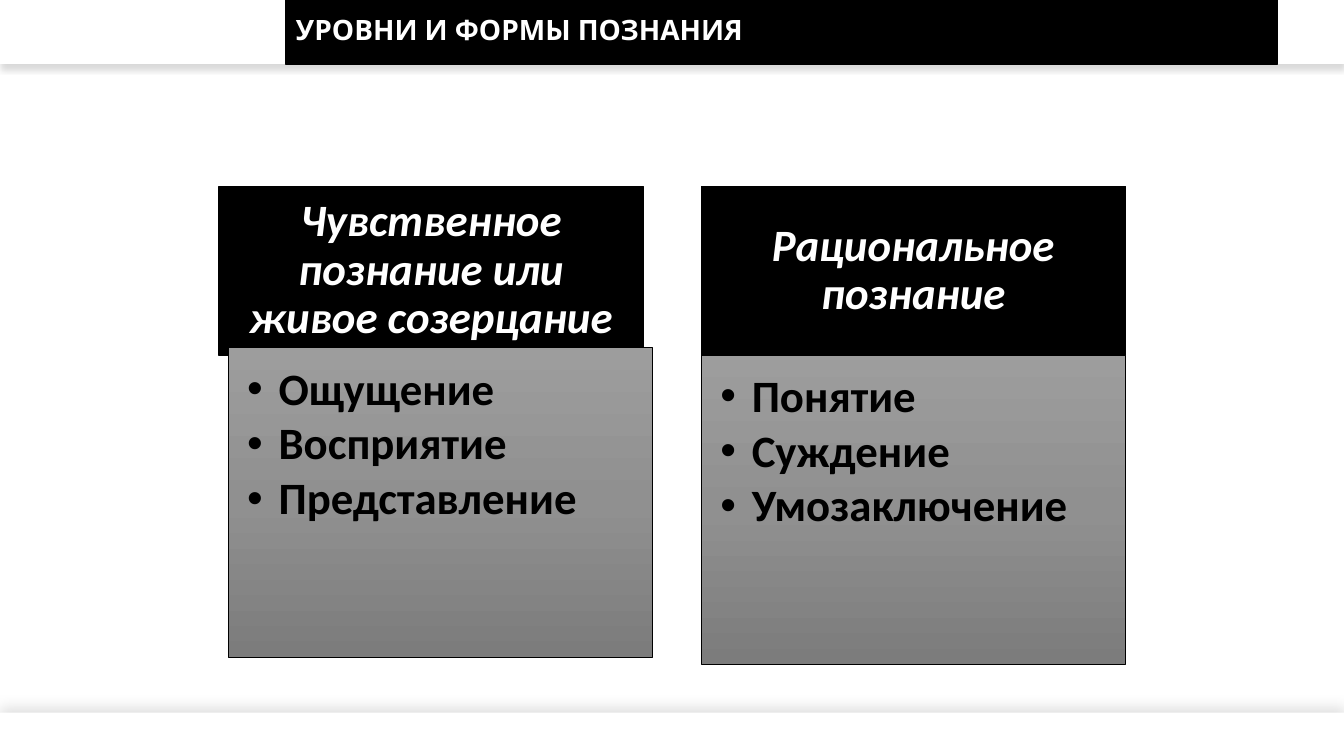
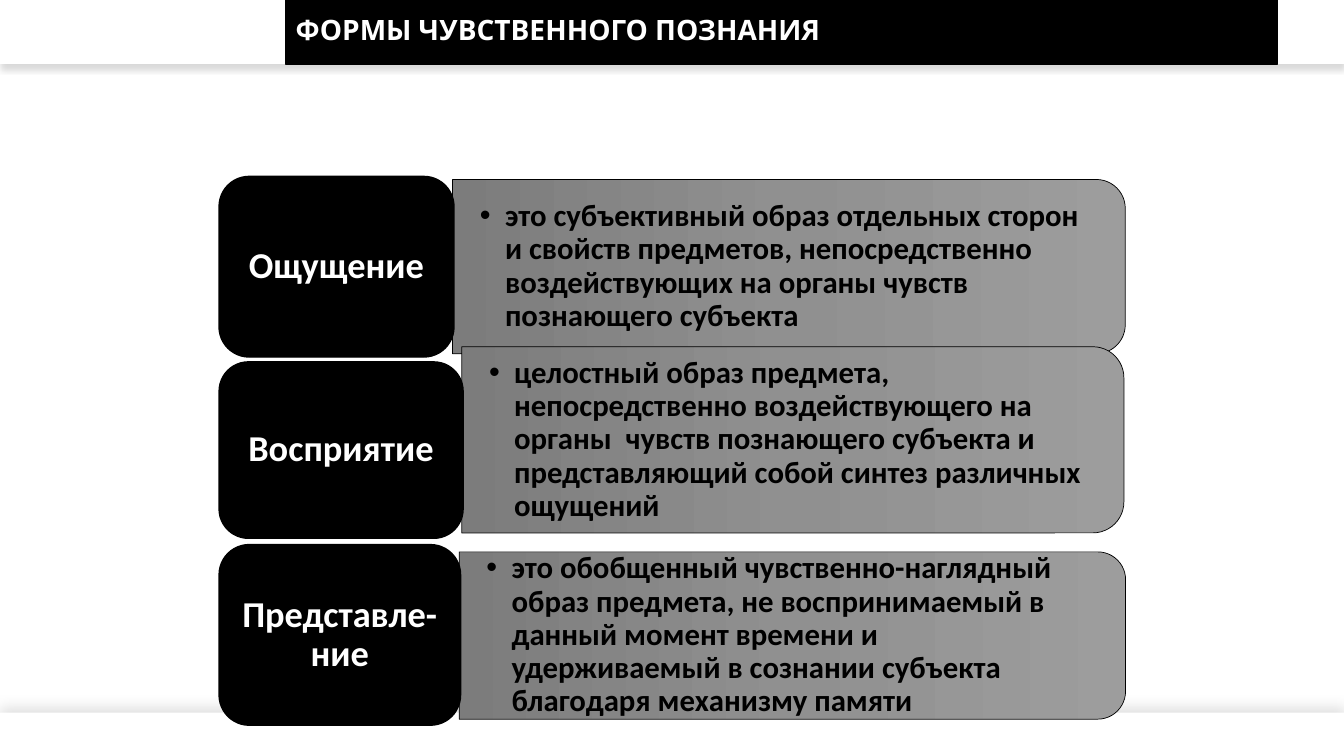
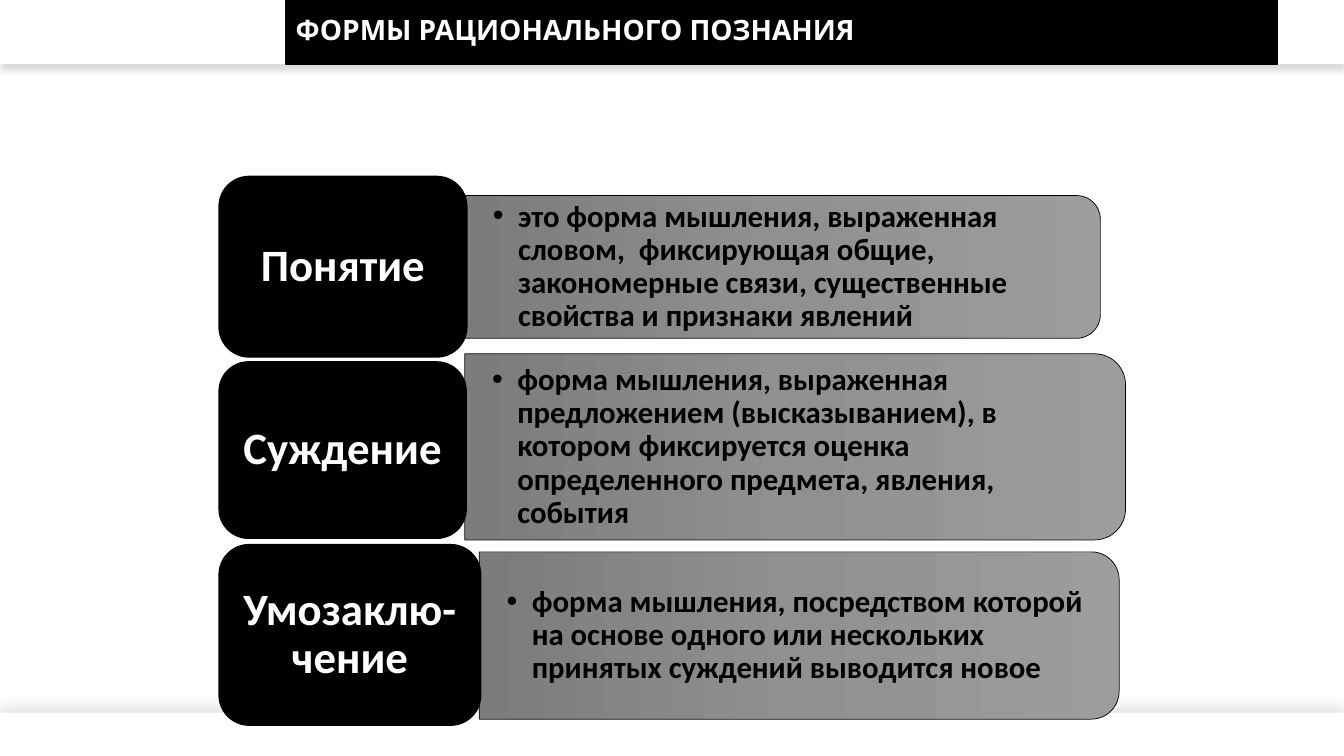
from copy import deepcopy

from lxml import etree
from pptx import Presentation
from pptx.dml.color import RGBColor
from pptx.enum import shapes, text
from pptx.oxml import ns
from pptx.util import Pt

BLACK = RGBColor(0x00, 0x00, 0x00)
WHITE = RGBColor(0xFF, 0xFF, 0xFF)
GRADIENT = [
    (0, RGBColor(0x9D, 0x9D, 0x9D)),
    (0.5, RGBColor(0x90, 0x90, 0x90)),
    (1, RGBColor(0x7C, 0x7C, 0x7C)),
]

SLIDE_W, SLIDE_H = 960, 540
TOP_BAND_H, BOTTOM_BAND_H = 45.6, 31
LABEL_LEFT = 156.5
LABEL_ROWS = [(126, 129), (258.5, 126), (389, 129)]  # top, height
CORNER_INSET = 0.0488  # text inset of a rounded corner, per unit of the short side

TITLE_FONT = {"name": "Karla", "size": Pt(20), "bold": True}
HEADER_FONT = {"name": "Calibri", "size": Pt(32), "bold": True, "italic": True}
LIST_FONT = {"name": "Calibri", "size": Pt(32), "bold": True, "italic": False}
DEFINITION_FONT = {"name": "Calibri", "size": Pt(22), "bold": True}

MIDDLE, TOP = text.MSO_ANCHOR.MIDDLE, text.MSO_ANCHOR.TOP
CENTER, LEFT = text.PP_ALIGN.CENTER, text.PP_ALIGN.LEFT

# Slide content: panel is left, top, width, height
COLUMNS = [
    {"header": "Чувственное познание или живое созерцание",
     "forms": ["Ощущение", "Восприятие", "Представление"],
     "header_left": 156.5, "list_left": 163, "list_top": 248.3},
    {"header": "Рациональное познание",
     "forms": ["Понятие", "Суждение", "Умозаключение"],
     "header_left": 501, "list_left": 501, "list_top": 253.5},
]
SENSORY_FORMS = [
    ("Ощущение", (323.3, 128.2, 480.5, 124.5),
     "это субъективный образ отдельных сторон и свойств предметов, "
     "непосредственно воздействующих на органы чувств познающего субъекта"),
    ("Восприятие", (329.8, 247.7, 473, 133),
     "целостный образ предмета, непосредственно воздействующего на органы  чувств "
     "познающего субъекта и представляющий собой синтез различных ощущений"),
    ("Представле-ние", (328, 394.2, 476, 119.5),
     "это обобщенный чувственно-наглядный образ предмета, не воспринимаемый в данный "
     "момент времени и удерживаемый в сознании субъекта благодаря механизму памяти"),
]
RATIONAL_FORMS = [
    ("Понятие", (332.5, 139.7, 453.5, 102),
     "это форма мышления, выраженная словом,  фиксирующая общие, "
     "закономерные связи, существенные свойства и признаки явлений"),
    ("Суждение", (332, 252.7, 472, 133),
     "форма мышления, выраженная предложением (высказыванием), в котором "
     "фиксируется оценка определенного предмета, явления, события"),
    ("Умозаклю-чение", (342.4, 394.2, 457, 119.5),
     "форма мышления, посредством которой на основе одного или нескольких "
     "принятых суждений выводится новое"),
]


def apply(target, values):
    for name, value in values.items():
        setattr(target, name, value)


def place(shape, left, top, width, height):
    apply(shape, {"left": Pt(left), "top": Pt(top),
                  "width": Pt(width), "height": Pt(height)})


def paint_solid(shape, color, line_width=1):
    shape.shadow.inherit = False
    shape.fill.solid()
    shape.fill.fore_color.rgb = color
    if line_width:
        shape.line.color.rgb = color
        shape.line.width = Pt(line_width)
    else:
        shape.line.fill.background()


def paint_gradient(shape):
    shape.shadow.inherit = False
    shape.fill.gradient()
    shape.fill.gradient_angle = 270
    stops = shape._element.spPr.find(".//" + ns.qn("a:gsLst"))
    stops.insert(1, deepcopy(stops[0]))
    for stop, (position, color) in zip(shape.fill.gradient_stops, GRADIENT):
        stop.position = position
        stop.color.rgb = color
    shape.line.color.rgb = BLACK
    shape.line.width = Pt(0.5)


def add_bullet(paragraph, indent):
    props = paragraph._p.get_or_add_pPr()
    props.set("marL", str(Pt(indent)))
    props.set("indent", str(-Pt(indent)))
    etree.SubElement(props, ns.qn("a:buFont"), typeface="Arial")
    etree.SubElement(props, ns.qn("a:buChar"), char="•")


def write(shape, lines, font, color, margins, anchor=MIDDLE, align=LEFT,
          bullet_indent=0, space_after=0):
    frame = shape.text_frame
    apply(frame, {"word_wrap": True, "auto_size": text.MSO_AUTO_SIZE.NONE,
                  "vertical_anchor": anchor})
    sides = ("margin_left", "margin_top", "margin_right", "margin_bottom")
    apply(frame, {side: Pt(size) for side, size in zip(sides, margins)})
    for index, line in enumerate(lines):
        paragraph = frame.add_paragraph() if index else frame.paragraphs[0]
        if bullet_indent:
            add_bullet(paragraph, bullet_indent)
        apply(paragraph, {"alignment": align, "line_spacing": 0.9,
                          "space_before": Pt(0), "space_after": Pt(space_after)})
        run = paragraph.add_run()
        run.text = line
        apply(run.font, font)
        run.font.color.rgb = color


def add_master_band(prs, slide, number, top, height, opacity, blur, direction):
    """White full-width band on the master, casting a soft shadow."""
    band = slide.shapes.add_shape(shapes.MSO_SHAPE.RECTANGLE, 0, Pt(top),
                                  Pt(SLIDE_W), Pt(height))
    paint_solid(band, WHITE, line_width=0)
    effects = band._element.spPr.find(ns.qn("a:effectLst"))
    shadow = etree.SubElement(effects, ns.qn("a:outerShdw"), blurRad=str(Pt(blur)),
                              dist=str(Pt(4)), dir=str(direction * 60000),
                              algn="ctr", rotWithShape="0")
    tint = etree.SubElement(shadow, ns.qn("a:srgbClr"), val=str(BLACK))
    etree.SubElement(tint, ns.qn("a:alpha"), val=str(opacity * 1000))
    band._element.nvSpPr.cNvPr.set("id", str(100 + number))
    prs.slide_master.shapes._spTree.insert(1 + number, band._element)


def add_titled_slide(prs, layout_name, heading):
    slide = prs.slides.add_slide(prs.slide_layouts.get_by_name(layout_name))
    title = slide.shapes.title
    place(title, 204, 0, 708.5, TOP_BAND_H)
    paint_solid(title, BLACK)
    write(title, [heading], TITLE_FONT, WHITE, (7.2, 3.6, 7.2, 3.6))
    return slide


def fill_column(header, forms, column):
    """Black header over a grey list."""
    place(header, column["header_left"], 133, 303, 121)
    paint_solid(header, BLACK)
    write(header, [column["header"]], HEADER_FONT, WHITE, (18, 10, 18, 10), align=CENTER)
    place(forms, column["list_left"], column["list_top"], 303, 221)
    paint_gradient(forms)
    write(forms, column["forms"], LIST_FONT, BLACK, (13.5, 13.5, 18, 20), anchor=TOP,
          bullet_indent=22.5, space_after=4.5)


def add_definition(slide, panel_box, definition):
    """Grey panel rounded on the right, with its definition."""
    left, top, width, height = panel_box
    panel = slide.shapes.add_shape(shapes.MSO_SHAPE.ROUND_2_SAME_RECTANGLE, 0, 0, 0, 0)
    # Turned a quarter, so width and height swap around the same centre
    shift = (width - height) / 2
    place(panel, left + shift, top - shift, height, width)
    panel.rotation = 90
    paint_gradient(panel)

    inset = height * CORNER_INSET
    caption = slide.shapes.add_textbox(0, 0, 0, 0)
    place(caption, left, top + inset, width - inset, height - 2 * inset)
    write(caption, [definition], DEFINITION_FONT, BLACK, (19.5, 10, 19.5, 10),
          bullet_indent=18)


def add_label(slide, term, top, height, right, size):
    label = slide.shapes.add_shape(shapes.MSO_SHAPE.ROUNDED_RECTANGLE, 0, 0, 0, 0)
    place(label, LABEL_LEFT, top, right - LABEL_LEFT, height)
    paint_solid(label, BLACK)
    write(label, [term], {"name": "Calibri", "size": Pt(size), "bold": True}, WHITE,
          (8, 4, 8, 4), align=CENTER)


def add_forms(slide, forms, label_size):
    for (term, panel_box, definition), (top, height) in zip(forms, LABEL_ROWS):
        add_definition(slide, panel_box, definition)
        add_label(slide, term, top, height, panel_box[0] + 1, label_size)


def main():
    prs = Presentation()
    prs.slide_width, prs.slide_height = Pt(SLIDE_W), Pt(SLIDE_H)

    # Levels and forms of cognition
    levels = add_titled_slide(prs, "Comparison", "УРОВНИ И ФОРМЫ ПОЗНАНИЯ")
    add_master_band(prs, levels, 1, 0, TOP_BAND_H, opacity=14, blur=4, direction=90)
    add_master_band(prs, levels, 2, SLIDE_H - BOTTOM_BAND_H, BOTTOM_BAND_H,
                    opacity=13, blur=9, direction=270)
    slots = list(levels.placeholders)[1:]
    for header, forms, column in zip(slots[::2], slots[1::2], COLUMNS):
        fill_column(header, forms, column)

    # Forms of sensory cognition
    sensory = add_titled_slide(prs, "Title Only", "ФОРМЫ ЧУВСТВЕННОГО ПОЗНАНИЯ")
    add_forms(sensory, SENSORY_FORMS, label_size=26)

    # Forms of rational cognition
    rational = add_titled_slide(prs, "Title Only", "ФОРМЫ РАЦИОНАЛЬНОГО ПОЗНАНИЯ")
    add_forms(rational, RATIONAL_FORMS, label_size=32)

    prs.save("out.pptx")


if __name__ == "__main__":
    main()
